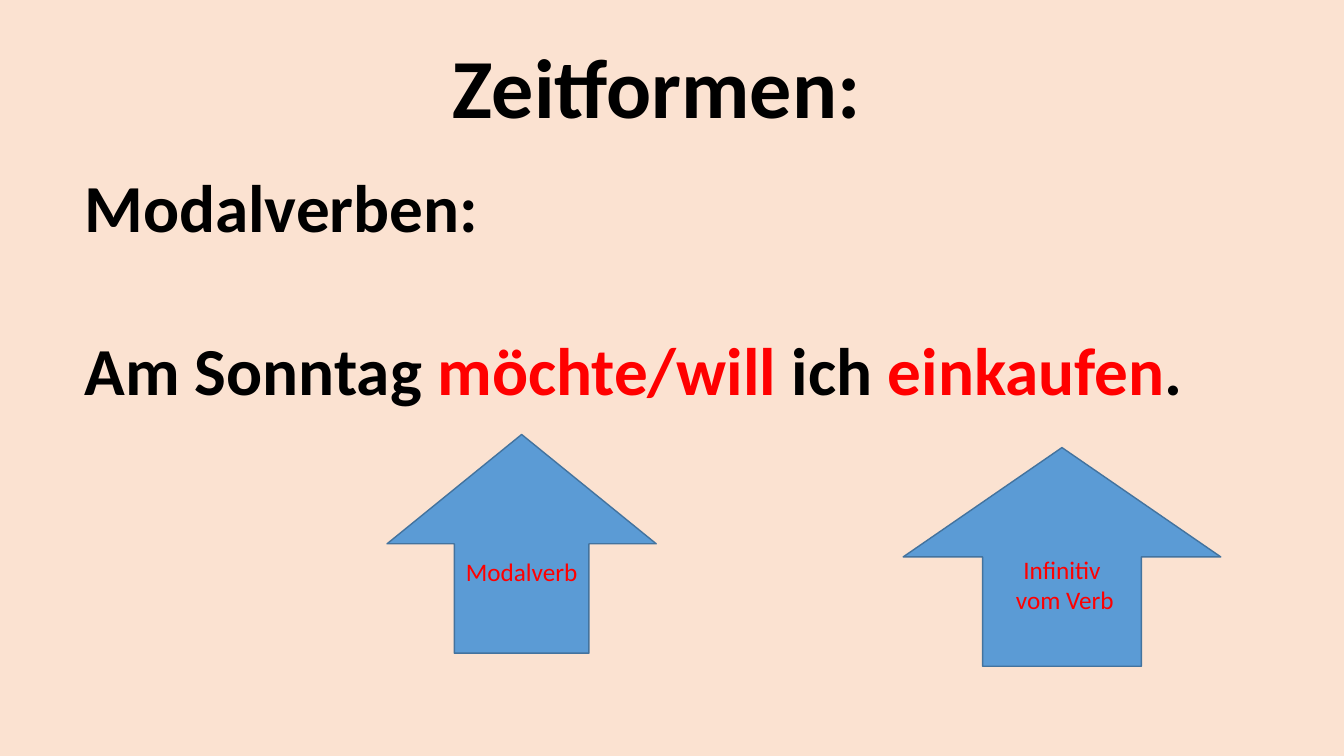
"""Build a German grammar slide on modal verbs with two labelled arrows."""
import pptx
import pptx.dml.color
import pptx.enum.shapes
import pptx.enum.text
import pptx.util

BACKGROUND = pptx.dml.color.RGBColor(0xFB, 0xE2, 0xD1)
BLACK = pptx.dml.color.RGBColor(0x00, 0x00, 0x00)
RED = pptx.dml.color.RGBColor(0xFF, 0x00, 0x00)
ARROW_FILL = pptx.dml.color.RGBColor(0x5B, 0x9B, 0xD5)
ARROW_LINE = pptx.dml.color.RGBColor(0x43, 0x73, 0x9E)

presentation = pptx.Presentation()
presentation.slide_width = pptx.util.Inches(13.33)
presentation.slide_height = pptx.util.Inches(7.5)
column = presentation.slide_width / 100
row = presentation.slide_height / 100


def box(left, top, width, height):
    """Turn percentages of the slide into a position and size."""
    return int(left * column), int(top * row), int(width * column), int(height * row)


def format_run(run, size, color, bold):
    """Set the typeface, size, colour and weight of a run."""
    run.font.name = "Calibri"
    run.font.size = pptx.util.Pt(size)
    run.font.color.rgb = color
    run.font.bold = bold


slide = presentation.slides.add_slide(presentation.slide_layouts[5])
slide.background.fill.solid()
slide.background.fill.fore_color.rgb = BACKGROUND

title = slide.shapes.title
title.left, title.top, title.width, title.height = box(32.7, 3.87, 32.33, 14.8)
title.text_frame.text = "Zeitformen:"
title.text_frame.word_wrap = False
title.text_frame.auto_size = pptx.enum.text.MSO_AUTO_SIZE.NONE
title.text_frame.vertical_anchor = pptx.enum.text.MSO_ANCHOR.TOP
format_run(title.text_frame.paragraphs[0].runs[0], 60, BLACK, True)

example = slide.shapes.add_textbox(*box(5.55, 21.2, 85.3, 33.6))
example.text_frame.word_wrap = False
heading = example.text_frame.paragraphs[0]
heading.text = "Modalverben:"
format_run(heading.runs[0], 48, BLACK, True)

sentence = example.text_frame.add_paragraph()
sentence.space_before = pptx.util.Pt(58.6)
for words, color in [
    ("Am Sonntag ", BLACK),
    ("möchte/will", RED),
    (" ich ", BLACK),
    ("einkaufen", RED),
    (".", BLACK),
]:
    run = sentence.add_run()
    run.text = words
    format_run(run, 48, color, True)

for label, left, top, width in [
    ("Infinitiv\n vom Verb", 67.2, 59.2, 23.63),
    ("Modalverb", 28.8, 57.47, 20.03),
]:
    arrow = slide.shapes.add_shape(
        pptx.enum.shapes.MSO_SHAPE.UP_ARROW, *box(left, top, width, 28.93)
    )
    arrow.shadow.inherit = False
    arrow.fill.solid()
    arrow.fill.fore_color.rgb = ARROW_FILL
    arrow.line.color.rgb = ARROW_LINE
    arrow.line.width = pptx.util.Pt(1)
    arrow.text_frame.text = label
    arrow.text_frame.vertical_anchor = pptx.enum.text.MSO_ANCHOR.MIDDLE
    for paragraph in arrow.text_frame.paragraphs:
        paragraph.alignment = pptx.enum.text.PP_ALIGN.CENTER
        format_run(paragraph.runs[0], 18, RED, False)

presentation.save("out.pptx")
